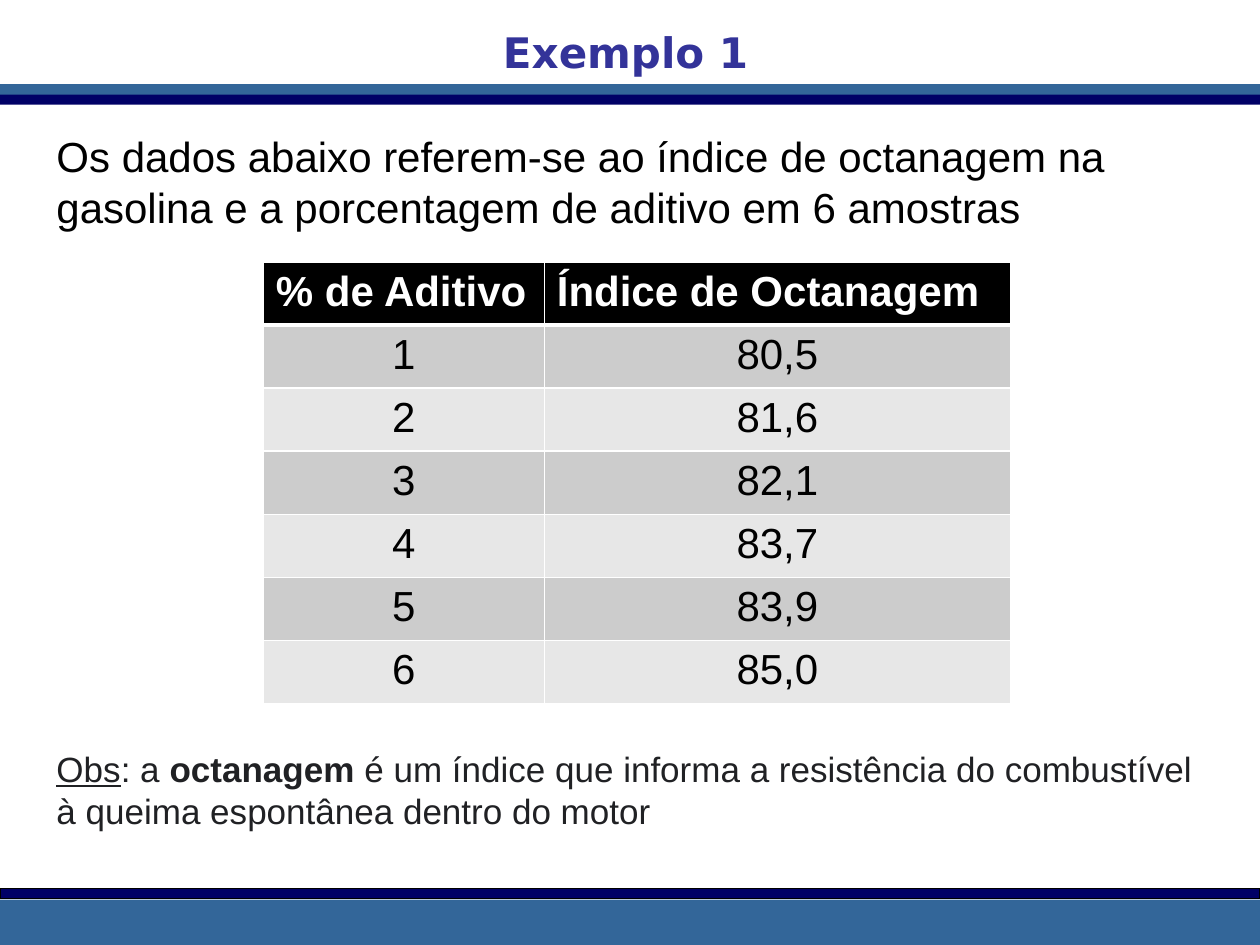
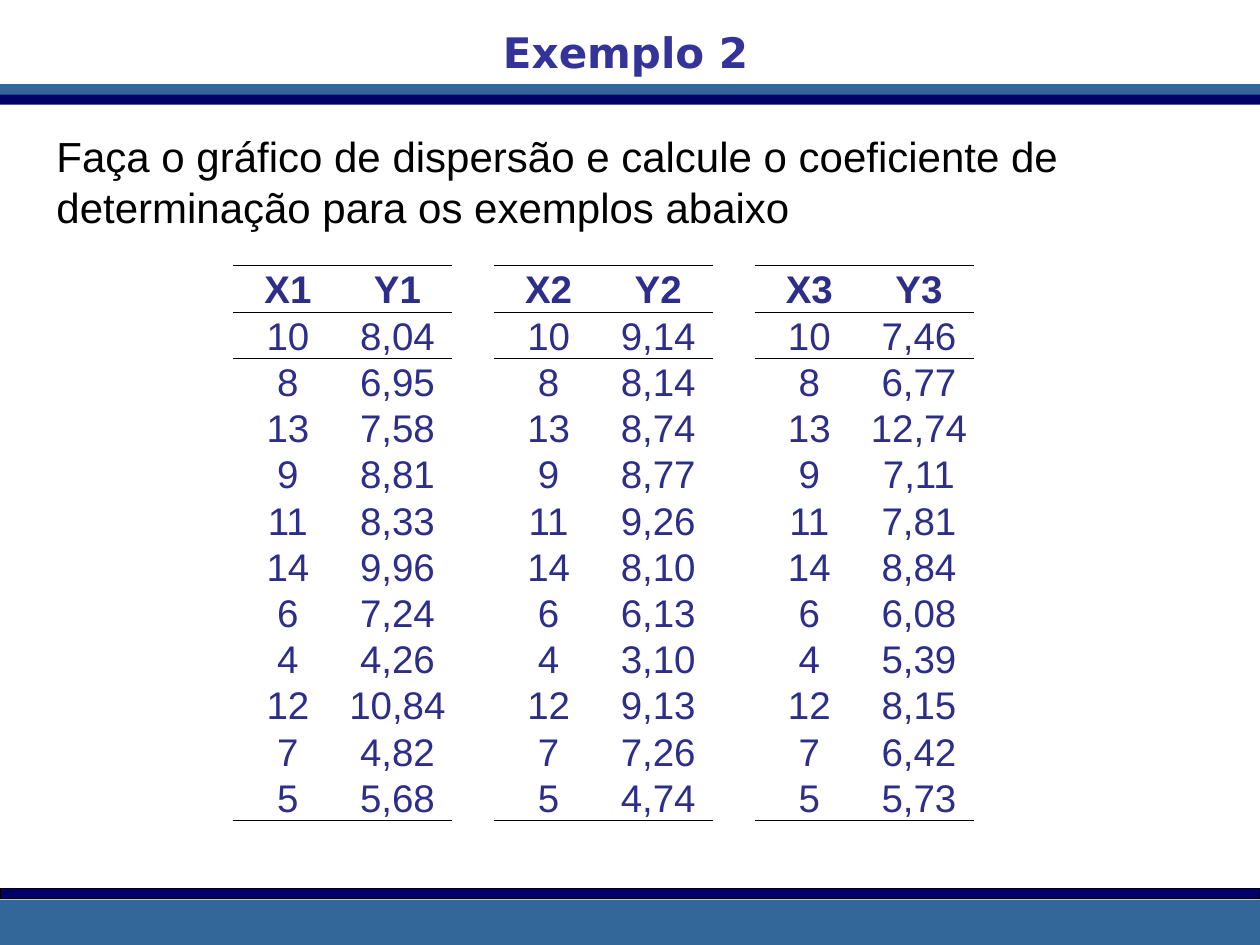
from lxml import etree
from pptx import Presentation
from pptx.dml.color import RGBColor
from pptx.enum.shapes import MSO_SHAPE
from pptx.enum.text import MSO_ANCHOR, MSO_AUTO_SIZE, PP_ALIGN
from pptx.oxml.ns import qn
from pptx.util import Inches, Pt

RECTANGLE = MSO_SHAPE.RECTANGLE
LEFT, CENTER = PP_ALIGN.LEFT, PP_ALIGN.CENTER
TOP, BOTTOM = MSO_ANCHOR.TOP, MSO_ANCHOR.BOTTOM
GROW = MSO_AUTO_SIZE.SHAPE_TO_FIT_TEXT

BLACK = RGBColor(0x00, 0x00, 0x00)
WHITE = RGBColor(0xFF, 0xFF, 0xFF)
STEEL = RGBColor(0x33, 0x66, 0x99)
NAVY = RGBColor(0x00, 0x00, 0x66)
TITLE_BLUE = RGBColor(0x33, 0x33, 0x99)
DATA_BLUE = RGBColor(0x2D, 0x2D, 0x8A)
NOTE_GRAY = RGBColor(0x20, 0x21, 0x24)
DARK_STRIPE = RGBColor(0xCC, 0xCC, 0xCC)
LIGHT_STRIPE = RGBColor(0xE7, 0xE7, 0xE7)

BODY_FONT, TITLE_FONT = "Arial", "DejaVu Sans"
PLAIN_TABLE_STYLE = "{2D5ABB26-0587-4C30-8999-92F81FD0307C}"
WIDTH, HEIGHT = 10, 7.5
MARGIN = 0.35

BANDS = [
    (0.67, 0.08, STEEL, STEEL),
    (0.75, 0.08, NAVY, None),
    (7.14, 0.36, STEEL, None),
    (7.05, 0.08, NAVY, BLACK),
]

OCTANE_TITLE = "Exemplo 1"
OCTANE_INTRO = (
    "Os dados abaixo referem-se ao índice de octanagem na gasolina "
    "e a porcentagem de aditivo em 6 amostras"
)
OCTANE_NOTE = [
    ("Obs", {"underline": True}),
    (": a ", {}),
    ("octanagem", {"bold": True}),
    (" é um índice que informa a resistência do combustível "
     "à queima espontânea dentro do motor", {}),
]
OCTANE_ROWS = [
    ("% de Aditivo", "Índice de Octanagem"),
    ("1", "80,5"),
    ("2", "81,6"),
    ("3", "82,1"),
    ("4", "83,7"),
    ("5", "83,9"),
    ("6", "85,0"),
]

SCATTER_TITLE = "Exemplo 2"
SCATTER_INTRO = (
    "Faça o gráfico de dispersão e calcule o coeficiente de "
    "determinação para os exemplos abaixo"
)
X_VALUES = ["10", "8", "13", "9", "11", "14", "6", "4", "12", "7", "5"]
Y_SERIES = [
    ["8,04", "6,95", "7,58", "8,81", "8,33", "9,96",
     "7,24", "4,26", "10,84", "4,82", "5,68"],
    ["9,14", "8,14", "8,74", "8,77", "9,26", "8,10",
     "6,13", "3,10", "9,13", "7,26", "4,74"],
    ["7,46", "6,77", "12,74", "7,11", "7,81", "8,84",
     "6,08", "5,39", "8,15", "6,42", "5,73"],
]


def write(frame, spans, size=24, color=BLACK, font=BODY_FONT, bold=False, align=LEFT):
    para = frame.paragraphs[0]
    para.alignment = align
    if isinstance(spans, str):
        spans = [(spans, {})]
    for text, extra in spans:
        span = para.add_run()
        span.text = text
        span.font.name = font
        span.font.size = Pt(size)
        span.font.color.rgb = color
        span.font.bold = extra.get("bold", bold)
        span.font.underline = extra.get("underline", False)


def add_text(page, place, spans, wrap=True, **style):
    box = page.shapes.add_textbox(*map(Inches, place))
    box.text_frame.word_wrap = wrap
    box.text_frame.auto_size = GROW
    write(box.text_frame, spans, **style)


def add_band(page, top, height, fill, line):
    band = page.shapes.add_shape(
        RECTANGLE, 0, Inches(top), Inches(WIDTH), Inches(height))
    band.shadow.inherit = False
    band.fill.solid()
    band.fill.fore_color.rgb = fill
    if line is None:
        band.line.fill.background()
    else:
        band.line.color.rgb = line
        band.line.width = Pt(0.75)


def add_page(deck, title, intro):
    page = deck.slides.add_slide(deck.slide_layouts[6])
    for band in BANDS:
        add_band(page, *band)
    add_text(page, (3.88, 0.16, 2.17, 0.5), title, wrap=False, font=TITLE_FONT,
             color=TITLE_BLUE, bold=True, align=CENTER)
    add_text(page, (MARGIN, 0.99, 8.66, 0.91), intro)
    return page


def add_grid(page, left, top, widths, row_height, row_count):
    frame = page.shapes.add_table(
        row_count, len(widths), Inches(left), Inches(top),
        Inches(sum(widths)), Inches(row_height * row_count))
    for style in frame.element.iter(qn("a:tableStyleId")):
        style.text = PLAIN_TABLE_STYLE
    grid = frame.table
    grid.first_row = grid.horz_banding = False
    for column, width in zip(grid.columns, widths):
        column.width = Inches(width)
    for row in grid.rows:
        row.height = Inches(row_height)
    return grid


def set_borders(cell, color, **widths):
    properties = cell._tc.get_or_add_tcPr()
    for side in "LRTB":
        if side in widths:
            line = etree.SubElement(
                properties, qn("a:ln" + side), w=str(Pt(widths[side])))
            fill = etree.SubElement(line, qn("a:solidFill"))
            etree.SubElement(fill, qn("a:srgbClr"), val=str(color))


def fill_octane_table(page):
    grid = add_grid(page, 2.09, 2.08, [2.23, 3.7], 0.5, len(OCTANE_ROWS))
    for r, values in enumerate(OCTANE_ROWS):
        header = r == 0
        stripe = DARK_STRIPE if r % 2 else LIGHT_STRIPE
        for c, value in enumerate(values):
            cell = grid.cell(r, c)
            set_borders(cell, WHITE, L=1, R=1, T=3 if r == 1 else 1,
                        B=3 if header else 1)
            cell.fill.solid()
            cell.fill.fore_color.rgb = BLACK if header else stripe
            cell.vertical_anchor = TOP
            write(cell.text_frame, value, bold=header,
                  color=WHITE if header else BLACK,
                  align=LEFT if header else CENTER)


def fill_scatter_table(page):
    columns, widths = [], []
    for number, y_values in enumerate(Y_SERIES, 1):
        if columns:
            columns.append(None)
            widths.append(0.33)
        columns += [[f"X{number}"] + X_VALUES, [f"Y{number}"] + y_values]
        widths += [0.87, 0.87]
    row_count = len(X_VALUES) + 1
    grid = add_grid(page, 1.85, 2.11, widths, 4.4 / row_count, row_count)
    rules = {0: {"T": 0.5, "B": 0.5}, 1: {"T": 0.5}, row_count - 1: {"B": 0.5}}
    for c, values in enumerate(columns):
        for r in range(row_count):
            cell = grid.cell(r, c)
            cell.margin_left = cell.margin_right = 0
            cell.margin_top = cell.margin_bottom = 0
            cell.vertical_anchor = BOTTOM
            if values:
                set_borders(cell, BLACK, **rules.get(r, {}))
                write(cell.text_frame, values[r], size=22, color=DATA_BLUE,
                      bold=r == 0, align=CENTER)
            cell.fill.background()


def main():
    deck = Presentation()
    deck.slide_width, deck.slide_height = Inches(WIDTH), Inches(HEIGHT)

    octane = add_page(deck, OCTANE_TITLE, OCTANE_INTRO)
    add_text(octane, (MARGIN, 5.88, 9.37, 0.77), OCTANE_NOTE, size=20, color=NOTE_GRAY)
    fill_octane_table(octane)

    scatter = add_page(deck, SCATTER_TITLE, SCATTER_INTRO)
    fill_scatter_table(scatter)

    deck.save("out.pptx")


if __name__ == "__main__":
    main()
